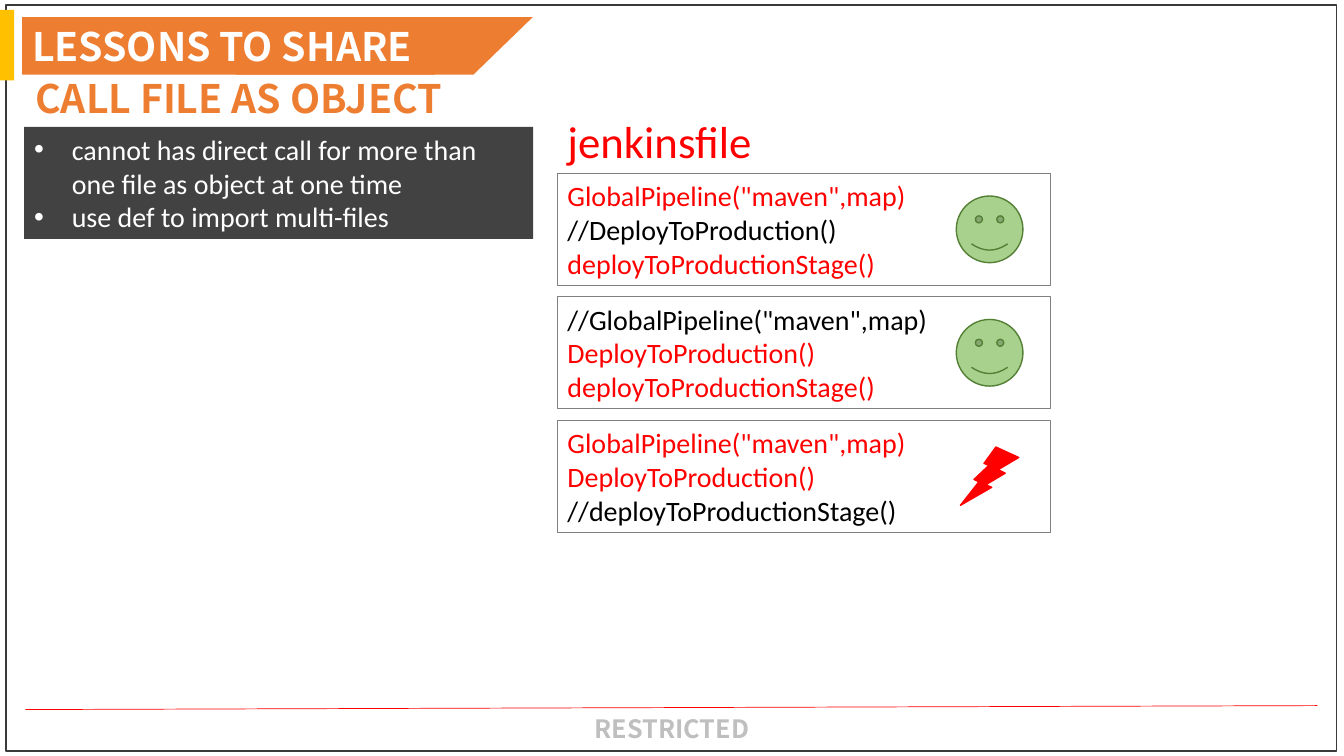
import pptx
import pptx.util
import pptx.dml.color
import pptx.enum.shapes
import pptx.enum.text
import pptx.oxml.ns
import lxml.etree

Cm = pptx.util.Cm
Pt = pptx.util.Pt
Kind = pptx.enum.shapes.MSO_SHAPE
Align = pptx.enum.text.PP_ALIGN
qn = pptx.oxml.ns.qn

HEAD = "Noto Sans CJK SC"
BODY = "Calibri"
ORANGE, RED, BLACK, WHITE = "ED7D31", "FF0000", "000000", "FFFFFF"


def color(text):
    return pptx.dml.color.RGBColor.from_string(text)


class Page:
    def __init__(self, slide):
        self.slide = slide

    def shape(self, kind, box, fill=None, line=None, width=1):
        item = self.slide.shapes.add_shape(kind, *map(Cm, box))
        item.shadow.inherit = False
        if fill:
            item.fill.solid()
            item.fill.fore_color.rgb = color(fill)
        else:
            item.fill.background()
        if line:
            item.line.color.rgb = color(line)
            item.line.width = Pt(width)
        else:
            item.line.fill.background()
        return item

    def letter(self, item, rows, size, font, bold=False, wrap=True, align=Align.LEFT):
        frame = item.text_frame
        frame.text = "\n".join(text for text, _ in rows)
        frame.word_wrap = wrap
        for para, (_, tint) in zip(frame.paragraphs, rows):
            para.alignment = align
            for run in para.runs:
                run.font.name = font
                run.font.size = Pt(size)
                run.font.bold = bold
                run.font.color.rgb = color(tint)

    def label(self, box, text, tint, size, font, **style):
        item = self.slide.shapes.add_textbox(*map(Cm, box))
        self.letter(item, [(text, tint)], size, font, **style)

    def bullets(self, item):
        for para in item.text_frame.paragraphs:
            props = para._p.get_or_add_pPr()
            props.set("marL", str(Cm(0.95)))
            props.set("indent", str(-Cm(0.95)))
            font = lxml.etree.SubElement(props, qn("a:buFont"))
            font.set("typeface", "Arial")
            mark = lxml.etree.SubElement(props, qn("a:buChar"))
            mark.set("char", "•")

    def rule(self, ends, tint, width):
        straight = pptx.enum.shapes.MSO_CONNECTOR.STRAIGHT
        item = self.slide.shapes.add_connector(straight, *map(Cm, ends))
        item.line.color.rgb = color(tint)
        item.line.width = Pt(width)
        lxml.etree.SubElement(item._element.spPr, qn("a:effectLst"))

    def badge(self, good, mid_x, mid_y):
        if good:
            kind, size, fill, line = Kind.SMILEY_FACE, 1.68, "A9D18E", "538035"
        else:
            kind, size, fill, line = Kind.LIGHTNING_BOLT, 1.47, RED, RED
        box = (mid_x - size / 2, mid_y - size / 2, size, size)
        item = self.shape(kind, box, fill, line)
        if not good:
            item._element.spPr.xfrm.set("flipH", "1")


def main():
    deck = pptx.Presentation()
    deck.slide_width, deck.slide_height = Cm(33.87), Cm(19.05)
    page = Page(deck.slides.add_slide(deck.slide_layouts[6]))

    page.shape(Kind.RECTANGLE, (0.15, 0.13, 33.53, 18.8), line="3A3A3A")
    page.shape(Kind.FLOWCHART_DATA, (5.94, 0.43, 7.49, 1.45), ORANGE)
    title = page.shape(Kind.RECTANGLE, (0.56, 0.43, 10.41, 1.45), ORANGE)
    page.letter(title, [("LESSONS TO SHARE", WHITE)], 28, HEAD, bold=True)
    page.shape(Kind.RECTANGLE, (0, 0.25, 0.36, 1.78), "FFC000")
    page.label((0.64, 1.75, 11, 1.45), "CALL FILE AS OBJECT", ORANGE, 28, HEAD,
               bold=True, wrap=False)

    note = page.shape(Kind.RECTANGLE, (0.61, 3.2, 12.83, 2.82), "424242")
    page.letter(note, [
        ("cannot has direct call for more than one file as object at one time", WHITE),
        ("use def to import multi-files", WHITE),
    ], 20, BODY)
    page.bullets(note)

    page.rule((33.2, 17.78, 0.64, 17.88), RED, 0.5)
    page.label((14.66, 17.86, 4.55, 1.02), "RESTRICTED", "BFBFBF", 18, HEAD,
               bold=True, align=Align.CENTER)

    page.label((14.05, 2.74, 5.16, 1.63), "jenkinsfile", RED, 32, BODY, wrap=False)
    calls = ('GlobalPipeline("maven",map)', "DeployToProduction()",
             "deployToProductionStage()")
    cases = ((1, True), (0, True), (2, False))
    high = 2.82
    for i, (off, good) in enumerate(cases):
        top = 4.37 + i * 3.11
        card = page.shape(Kind.RECTANGLE, (14.05, top, 12.42, high),
                          line="808080", width=0.75)
        rows = [("//" + call, BLACK) if n == off else (call, RED)
                for n, call in enumerate(calls)]
        page.letter(card, rows, 20, BODY)
        page.badge(good, 24.94, top + high / 2)

    deck.save("out.pptx")


if __name__ == "__main__":
    main()
